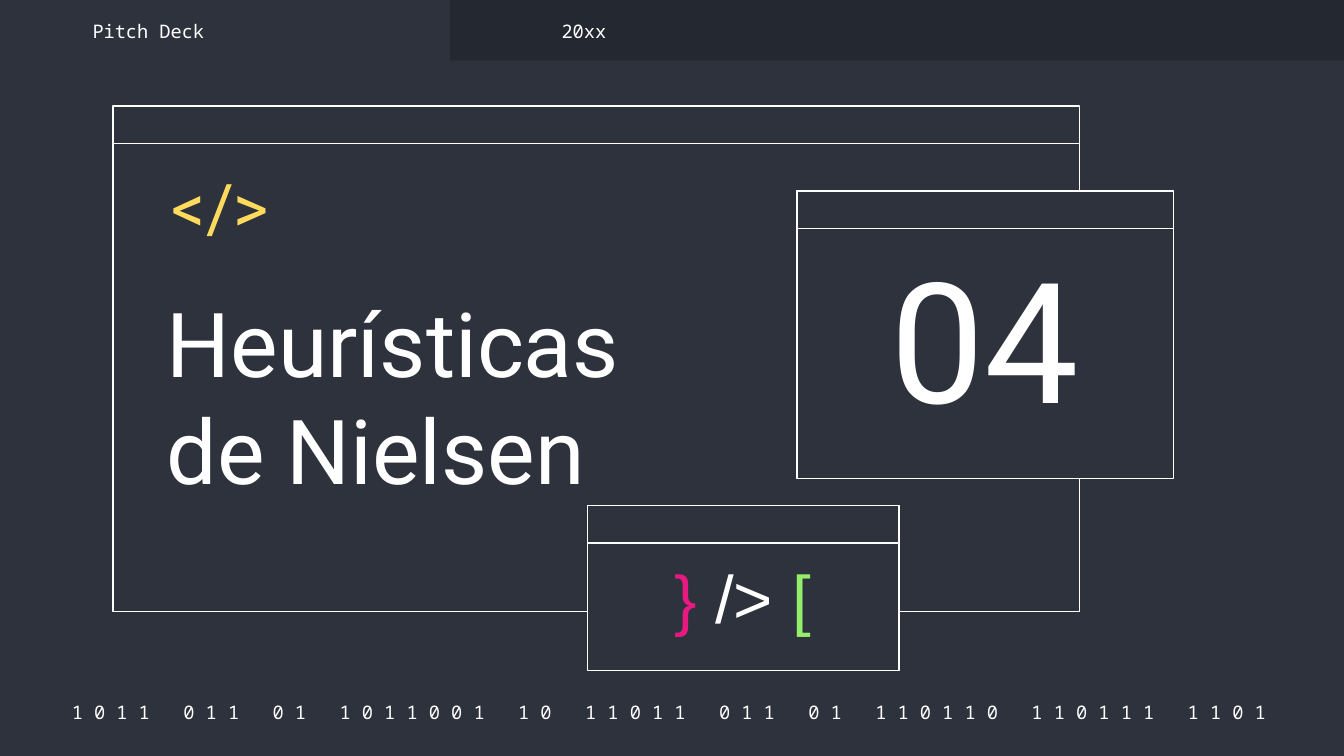
from pptx import Presentation
from pptx.dml.color import RGBColor
from pptx.enum.shapes import MSO_SHAPE
from pptx.enum.text import MSO_ANCHOR, MSO_AUTO_SIZE, PP_ALIGN
from pptx.util import Inches, Pt

RECT = MSO_SHAPE.RECTANGLE
TOP, MIDDLE, BOTTOM = MSO_ANCHOR.TOP, MSO_ANCHOR.MIDDLE, MSO_ANCHOR.BOTTOM
LEFT, CENTER, RIGHT = PP_ALIGN.LEFT, PP_ALIGN.CENTER, PP_ALIGN.RIGHT
NO_FIT = MSO_AUTO_SIZE.NONE
COLORS = {"back": "2D323C", "bar": "242830", "white": "FFFFFF",
          "yellow": "FFDB5D", "pink": "E81981", "green": "94EE6B"}
MONO = "Noto Sans Mono"
BITS = "1011 011 01 1011001 10 11011 011 01 110110 110111 1101"
BAR_H = 0.28


def color(name):
    """Return the named colour."""
    return RGBColor.from_string(COLORS[name])


def add_text(s, box, text, sp=None, size=10, font=MONO, fill="white",
             align=LEFT, anchor=TOP, spacing=1.0):
    """Write text, or a list of (text, colour) runs, in a box or placeholder."""
    x, y, w, h = (Inches(v) for v in box)
    if sp is None:
        sp = s.shapes.add_textbox(x, y, w, h)
    sp.left, sp.top, sp.width, sp.height = x, y, w, h
    tf = sp.text_frame
    tf.word_wrap = True
    tf.auto_size = NO_FIT
    tf.vertical_anchor = anchor
    tf.margin_left = tf.margin_right = Inches(0.1)
    tf.margin_top = tf.margin_bottom = Inches(0.1)
    p = tf.paragraphs[0]
    p.alignment, p.line_spacing = align, spacing
    for part, name in [(text, fill)] if isinstance(text, str) else text:
        r = p.add_run()
        r.text = part
        r.font.name, r.font.size = font, Pt(size)
        r.font.color.rgb = color(name)


def add_rect(s, x, y, w, h, fill="back", line=None):
    """Draw a flat rectangle with an optional outline."""
    sp = s.shapes.add_shape(RECT, Inches(x), Inches(y), Inches(w), Inches(h))
    sp.shadow.inherit = False
    sp.fill.solid()
    sp.fill.fore_color.rgb = color(fill)
    if line:
        sp.line.color.rgb = color(line)
        sp.line.width = Pt(0.75)
    else:
        sp.line.fill.background()


def add_window(s, x, y, w, h):
    """Draw an outlined window with a title bar."""
    for height in (h, BAR_H):
        add_rect(s, x, y, w, height, line="white")


def add_header(s, x, y, w, h):
    """Draw the tab strip with its two labels."""
    tab = 3.35
    add_rect(s, x + tab, y, w - tab, h, fill="bar")
    for left, label in ((0.59, "Pitch Deck"), (4.08, "20xx")):
        add_text(s, (x + left, y + 0.13, 2.19, 0.2), label, anchor=MIDDLE)


def add_main(s, x, y, w, h):
    """Draw the main window with its code mark and, in front, the slide title."""
    add_window(s, x, y, w, h)
    add_text(s, (x + 0.08, y + 0.41, 1.18, 0.62), "</>", size=36,
             font="Roboto", fill="yellow", align=RIGHT, spacing=0.9)
    title = s.shapes.title
    s.shapes.element.append(title.element)
    add_text(s, (x + 0.3, y + 1.25, 4.31, 0.9), "Heurísticas de Nielsen",
             sp=title, size=48, font="Roboto")


def add_symbols(s, x, y, w, h):
    """Draw the small window with coloured code symbols."""
    add_window(s, x, y, w, h)
    runs = [("}", "pink"), (" /> ", "white"), ("[", "green")]
    add_text(s, (x + 0.49, y + 0.35, 1.33, 0.82), runs, size=36,
             font="Arial", align=CENTER, spacing=0.9)


def add_number(s, x, y, w, h):
    """Draw the window with the section number."""
    add_window(s, x, y, w, h)
    add_text(s, (x + 0.18, y + BAR_H, 2.43, 1.65), "04", size=90,
             font="Roboto", align=CENTER, anchor=BOTTOM)


def add_footer(s, x, y, w, h):
    """Write the strip of spaced binary digits."""
    text = (" " * 3).join(" ".join(word) for word in BITS.split())
    add_text(s, (x, y, w, h), text, align=CENTER, anchor=MIDDLE)


def main():
    """Build the section slide."""
    prs = Presentation()
    prs.slide_width = Inches(10)
    prs.slide_height = prs.slide_width * 9 // 16
    s = prs.slides.add_slide(prs.slide_layouts[5])
    s.background.fill.solid()
    s.background.fill.fore_color.rgb = color("back")
    add_footer(s, 0.34, 5.2, 9.27, 0.2)
    add_header(s, 0, 0, 10, 0.45)
    add_main(s, 0.84, 0.79, 7.19, 3.76)
    add_symbols(s, 4.37, 3.76, 2.32, 1.23)
    add_number(s, 5.93, 1.42, 2.8, 2.14)
    prs.save("out.pptx")


if __name__ == "__main__":
    main()
